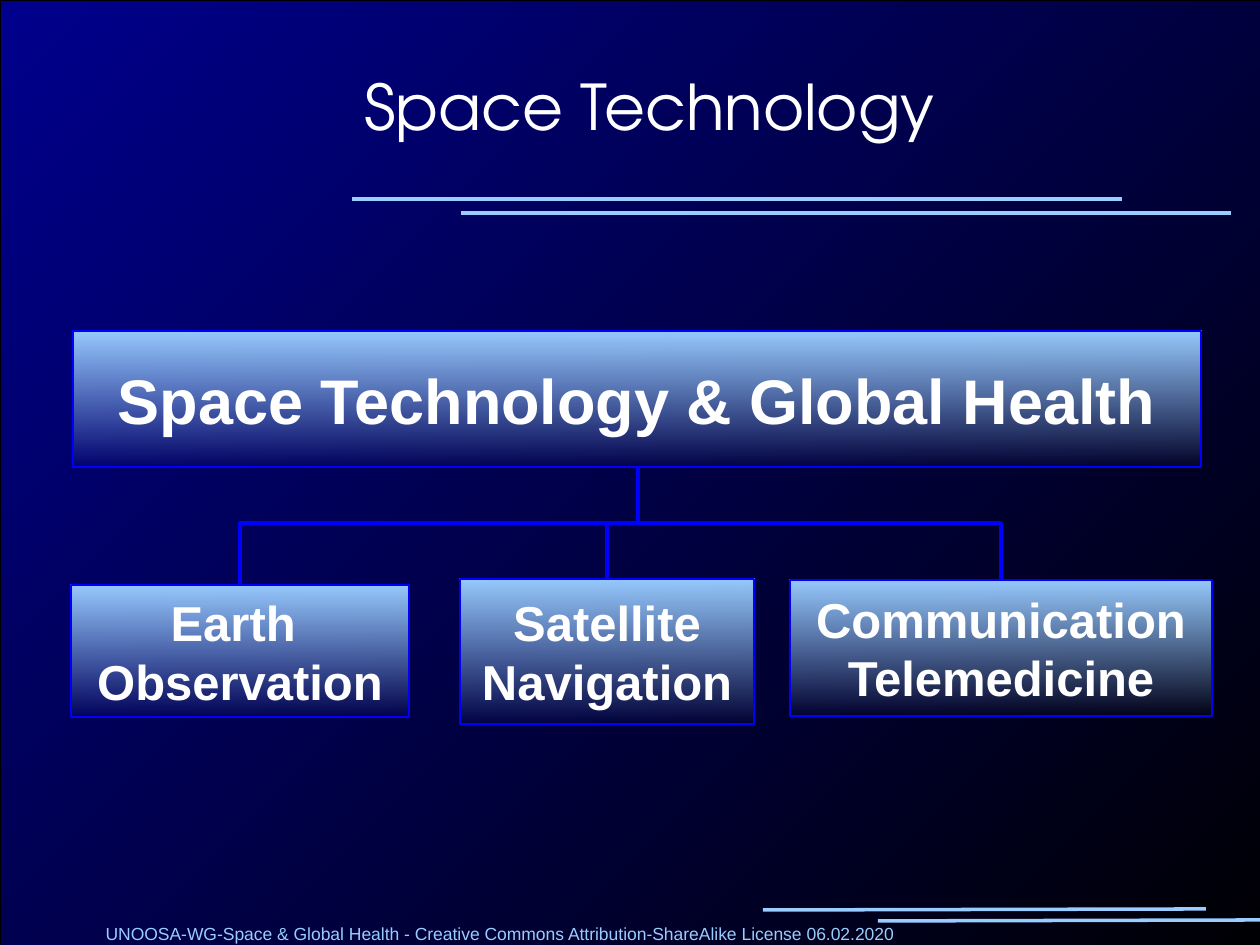
from lxml.etree import SubElement
from pptx import Presentation
from pptx.dml.color import RGBColor
from pptx.enum.shapes import MSO_CONNECTOR, MSO_SHAPE
from pptx.enum.text import MSO_ANCHOR, PP_ALIGN
from pptx.oxml.ns import qn
from pptx.util import Emu, Pt

PX = 914400 // 126
WHITE, SKY, BLUE, BLACK = "FFFFFF", "99CCFF", "0000FF", "000000"


def px(n):
    return Emu(round(n * PX))


def rgb(color):
    return RGBColor.from_string(color)


class Deck:
    font = {"name": "Arial", "size": Pt(28), "bold": False}

    def __init__(self, width, height):
        self.prs = Presentation()
        self.prs.slide_width, self.prs.slide_height = px(width), px(height)
        self.s = self.prs.slides.add_slide(self.prs.slide_layouts[6])

    def gradient(self, fill, root, stops, shade):
        """Stops are (colour, opacity); shade is 'lin', 'circle' or 'rect'."""
        fill.gradient()
        grad = root.find(".//" + qn("a:gradFill"))
        for child in list(grad):
            grad.remove(child)
        gs_list = SubElement(grad, qn("a:gsLst"))
        for pos, (color, opacity) in zip((0, 100000), stops):
            gs = SubElement(gs_list, qn("a:gs"), pos=str(pos))
            clr = SubElement(gs, qn("a:srgbClr"), val=color)
            if opacity < 100:
                SubElement(clr, qn("a:alpha"), val=str(opacity * 1000))
        if shade == "lin":
            SubElement(grad, qn("a:lin"), ang="5400000", scaled="0")
        else:
            way = SubElement(grad, qn("a:path"), {"path": shade})
            SubElement(way, qn("a:fillToRect"), r="100000", b="100000")

    def background(self, color):
        self.gradient(self.s.background.fill, self.s.element,
                      [(color, 100), (BLACK, 100)], "rect")

    def rect(self, x, y, w, h, stops, shade, line):
        sp = self.s.shapes.add_shape(MSO_SHAPE.RECTANGLE, px(x), px(y), px(w), px(h))
        sp.shadow.inherit = False
        self.gradient(sp.fill, sp.element.spPr, stops, shade)
        sp.line.color.rgb = rgb(line)
        sp.line.width = 0
        return sp

    def fill_text(self, sp, lines, color, **font):
        tf = sp.text_frame
        for i, line in enumerate(lines):
            p = tf.paragraphs[0] if i == 0 else tf.add_paragraph()
            p.alignment = PP_ALIGN.CENTER
            r = p.add_run()
            r.text = line
            for name, value in {**self.font, **font}.items():
                setattr(r.font, name, value)
            r.font.color.rgb = rgb(color)
        return tf

    def box(self, x, y, w, h, lines, **font):
        sp = self.rect(x, y, w, h, [(SKY, 100), (SKY, 0)], "lin", BLUE)
        tf = self.fill_text(sp, lines, WHITE, bold=True, **font)
        tf.word_wrap = False
        tf.vertical_anchor = MSO_ANCHOR.MIDDLE

    def text(self, x, y, w, h, line, color, **font):
        sp = self.s.shapes.add_textbox(px(x), px(y), px(w), px(h))
        tf = self.fill_text(sp, [line], color, **font)
        tf.word_wrap = True
        return tf

    def line(self, x1, y1, x2, y2, color, kind=MSO_CONNECTOR.STRAIGHT):
        c = self.s.shapes.add_connector(kind, px(x1), px(y1), px(x2), px(y2))
        c.line.color.rgb = rgb(color)
        c.line.width = 0
        SubElement(c.element.spPr, qn("a:effectLst"))
        return c

    def branch(self, x1, y1, x2, y2, bend):
        """Elbow from a child's top up to its parent, level at y = bend."""
        cx, cy, dx, rise = (x1 + x2) / 2, (y1 + y2) / 2, x2 - x1, y1 - y2
        c = self.line(cx - rise / 2, cy - dx / 2, cx + rise / 2, cy + dx / 2,
                      BLUE, MSO_CONNECTOR.ELBOW)
        c.element.spPr.find(qn("a:xfrm")).set("rot", str(270 * 60000))
        geom = c.element.spPr.find(qn("a:prstGeom"))
        av = geom.find(qn("a:avLst"))
        if av is None:
            av = SubElement(geom, qn("a:avLst"))
        adj = round((y1 - bend) / rise * 100000)
        SubElement(av, qn("a:gd"), name="adj1", fmla=f"val {adj}")


def main():
    deck = Deck(1260, 945)

    # Backdrop
    deck.background("000066")
    deck.rect(0, 0, 1310, 954, [("00008C", 100), (BLACK, 100)], "circle", BLACK)

    # Footer
    deck.text(18, 917, 963, 38,
              "UNOOSA-WG-Space & Global Health - Creative Commons "
              "Attribution-ShareAlike License 06.02.2020", SKY, size=Pt(10))

    # Rules under the title and above the footer
    for ends in [(352, 199, 1122, 199), (461, 213, 1231, 213),
                 (763, 910, 1206, 909), (878, 921, 1260, 920)]:
        deck.line(*ends, SKY)

    # Title
    tf = deck.text(20, 67, 1230, 117, "Space Technology", WHITE,
                   name="TeX Gyre Adventor", size=Pt(36))
    for side in ("left", "top", "right", "bottom"):
        setattr(tf, f"margin_{side}", 0)
    pPr = tf.paragraphs[0]._p.get_or_add_pPr()
    pPr.set("marL", str(px(59)))
    pPr.set("indent", str(px(-30)))

    # Chart of the topic and its three fields
    fields = [
        (71, 585, 338, 132, ["Earth ", "Observation"]),
        (460, 579, 294, 145, ["Satellite", "Navigation"]),
        (790, 580, 422, 136, ["Communication", "Telemedicine"]),
    ]
    for x, y, w, h, lines in fields:
        deck.branch(x + w / 2, y, 638, 467, 523)
        deck.box(x, y, w, h, lines)
    deck.box(73, 331, 1128, 136, ["Space Technology & Global Health"], size=Pt(36))

    deck.prs.save("out.pptx")


if __name__ == "__main__":
    main()
